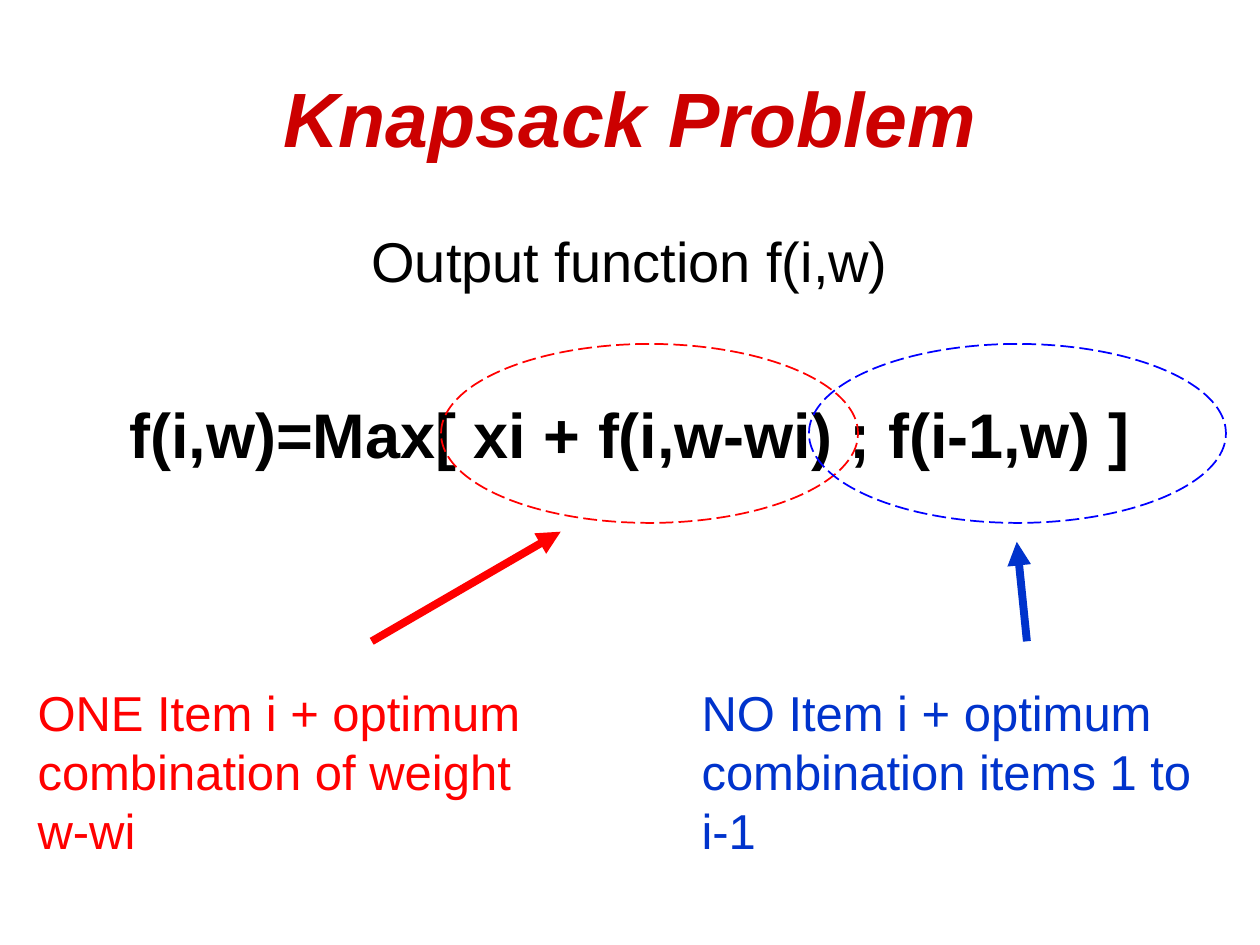
from pptx import Presentation
from pptx.dml.color import RGBColor
from pptx.enum.dml import MSO_LINE_DASH_STYLE as Dash
from pptx.enum.shapes import MSO_CONNECTOR as Connector, MSO_SHAPE as Shape
from pptx.enum.text import MSO_ANCHOR as Anchor, PP_ALIGN as Align
from pptx.oxml.ns import qn
from pptx.util import Inches, Pt
from lxml.etree import SubElement

COLORS = {
    "title": "CC0000",
    "text": "000000",
    "take": "FF0000",
    "skip": "0033CC",
    "skip_ring": "0000FF",
}


def color(name):
    return RGBColor.from_string(COLORS[name])


def box_inches(box):
    return [Inches(value) for value in box]


def write(paragraph, text, color_name, paragraph_format=None, **font_format):
    """Fill a paragraph with one run and format both."""
    for name, value in (paragraph_format or {}).items():
        setattr(paragraph, name, value)
    run = paragraph.add_run()
    run.text = text
    for name, value in {"name": "Arial", **font_format}.items():
        setattr(run.font, name, value)
    run.font.color.rgb = color(color_name)


def add_text_box(slide, box):
    frame = slide.shapes.add_textbox(*box_inches(box)).text_frame
    frame.word_wrap = True
    return frame


def place_title(slide, box):
    title = slide.shapes.title
    for name, value in zip(("left", "top", "width", "height"), box_inches(box)):
        setattr(title, name, value)
    title.text_frame.vertical_anchor = Anchor.MIDDLE
    write(title.text_frame.paragraphs[0], "Knapsack Problem", "title",
          {"alignment": Align.CENTER}, size=Pt(44), bold=True, italic=True)


def add_formula(slide, box):
    frame = add_text_box(slide, box)
    write(frame.paragraphs[0], "Output function f(i,w)", "text",
          {"alignment": Align.CENTER, "space_before": Pt(8)}, size=Pt(32))
    write(frame.add_paragraph(), "f(i,w)=Max[ xi + f(i,w-wi) ; f(i-1,w) ]", "text",
          {"alignment": Align.CENTER, "space_before": Pt(58)}, size=Pt(36), bold=True)


def add_ring(slide, box, color_name):
    ring = slide.shapes.add_shape(Shape.OVAL, *box_inches(box))
    ring.shadow.inherit = False
    ring.fill.background()
    ring.line.color.rgb = color(color_name)
    ring.line.width = Pt(1)
    ring.line.dash_style = Dash.LONG_DASH


def add_arrow(slide, start, end, color_name):
    arrow = slide.shapes.add_connector(Connector.STRAIGHT, *box_inches(start + end))
    arrow.line.color.rgb = color(color_name)
    arrow.line.width = Pt(4.5)
    SubElement(arrow.line._get_or_add_ln(), qn("a:tailEnd"), type="triangle")
    SubElement(arrow._element.spPr, qn("a:effectLst"))


def add_note(slide, box, text, color_name):
    frame = add_text_box(slide, box)
    write(frame.paragraphs[0], text, color_name,
          {"space_before": Pt(7)}, size=Pt(28))


def build_slide(presentation):
    slide = presentation.slides.add_slide(presentation.slide_layouts[5])
    add_formula(slide, (0.5, 1.75, 9, 2.47))
    place_title(slide, (0.5, 0.3, 9, 1.25))
    cases = [
        ("take", "take", 3.5, (2.95, 5.09), (4.45, 4.22), 0.2,
         "ONE Item i + optimum combination of weight w-wi"),
        ("skip", "skip_ring", 6.42, (8.15, 5.09), (8.07, 4.3), 5.47,
         "NO Item i + optimum combination items 1 to i-1"),
    ]
    for color_name, ring_color, ring_left, start, end, note_left, text in cases:
        add_ring(slide, (ring_left, 2.73, 3.31, 1.42), ring_color)
        add_arrow(slide, start, end, color_name)
        add_note(slide, (note_left, 5.37, 4.33, 2.13), text, color_name)


def main():
    presentation = Presentation()
    presentation.slide_width = Inches(10)
    presentation.slide_height = Inches(7.5)
    build_slide(presentation)
    presentation.save("out.pptx")


if __name__ == "__main__":
    main()
